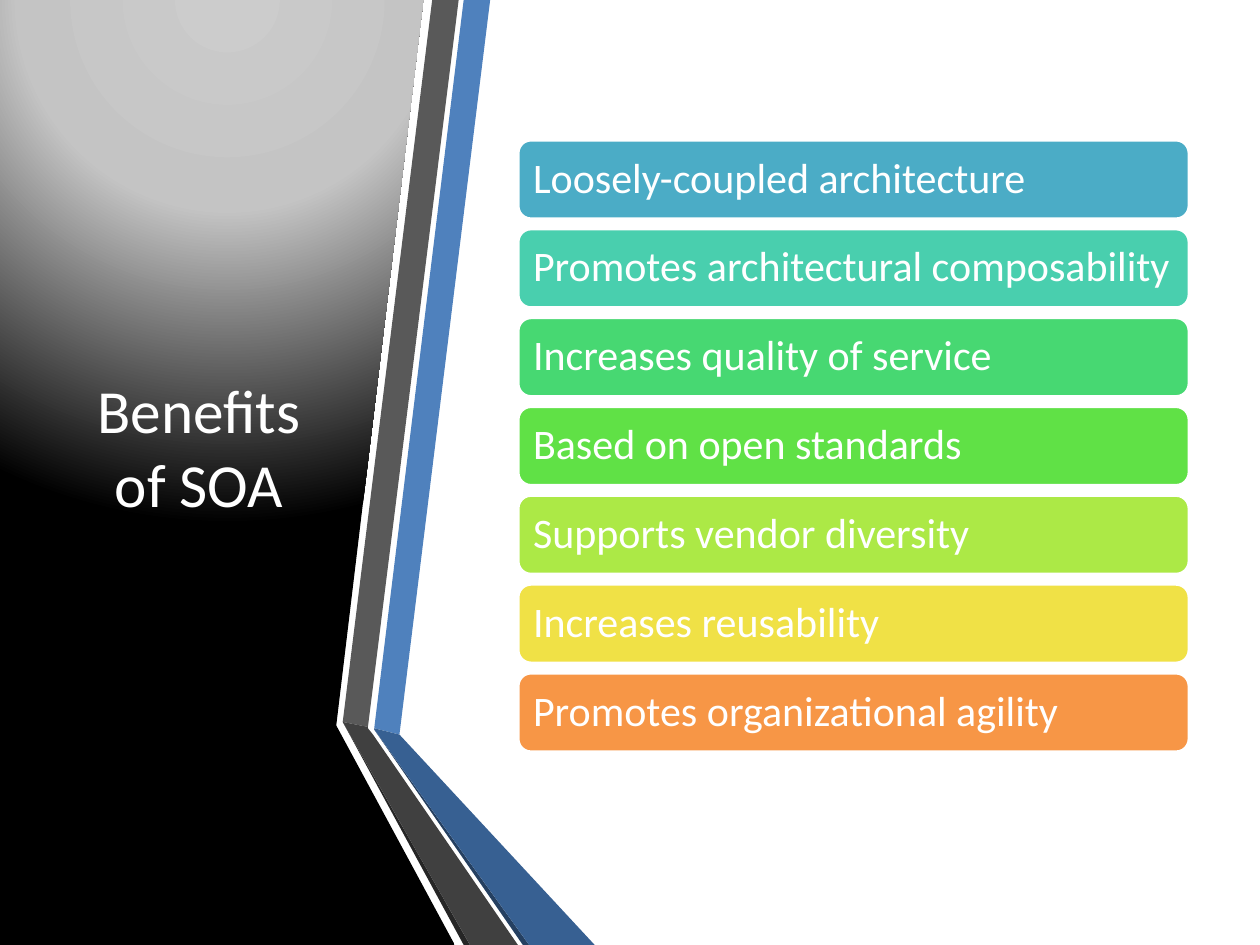
from dataclasses import dataclass

from lxml import etree
from pptx import Presentation
from pptx.dml.color import RGBColor
from pptx.enum.shapes import MSO_SHAPE
from pptx.enum.text import MSO_ANCHOR, PP_ALIGN
from pptx.oxml.ns import qn
from pptx.util import Pt

PX = 9144  # 100 px to the inch
ROUND = MSO_SHAPE.ROUNDED_RECTANGLE
MIDDLE = MSO_ANCHOR.MIDDLE
LEFT, CENTER = PP_ALIGN.LEFT, PP_ALIGN.CENTER
TITLE_ONLY = 5


@dataclass(frozen=True)
class Theme:
    font: str = "Calibri"
    white: str = "FFFFFF"
    title: int = 35
    body: int = 24
    glow: tuple = ((0, "CCCCCC"), (40, "C4C4C4"), (100, "000000"))


@dataclass(frozen=True)
class Facet:
    fill: str
    points: tuple


@dataclass(frozen=True)
class Bar:
    text: str
    fill: str


THEME = Theme()
PANEL = Facet("000000", ((264, 0), (336, 0), (267, 575), (267, 576),
                         (361, 750), (0, 750), (0, 0)))
RIBBON = (
    Facet("4F81BD", ((297, 578), (317, 583), (389, 0), (368, 0))),
    Facet("595959", ((364, 0), (343, 0), (272, 573), (292, 577))),
    Facet("262626", ((272, 573), (368, 750), (373, 750))),
    Facet("254061", ((297, 579), (415, 750), (420, 750))),
    Facet("376092", ((297, 579), (420, 750), (472, 750), (317, 583),
                     (297, 578))),
    Facet("404040", ((411, 750), (296, 583), (292, 578), (292, 577),
                     (272, 573), (373, 750))),
)
BARS = (
    Bar("Loosely-coupled architecture", "4BACC6"),
    Bar("Promotes architectural composability", "49CFAE"),
    Bar("Increases quality of service", "47D872"),
    Bar("Based on open standards", "60E146"),
    Bar("Supports vendor diversity", "ACE946"),
    Bar("Increases reusability", "F0E146"),
    Bar("Promotes organizational agility", "F79646"),
)
BAR_LEFT, BAR_WIDTH, BAR_HEIGHT = 411, 533, 63
FIRST_TOP, LAST_TOP = 111, 534


def px(value: float) -> int:
    return round(value * PX)


def paint(shape, color: str) -> None:
    shape.shadow.inherit = False
    shape.fill.solid()
    shape.fill.fore_color.rgb = RGBColor.from_string(color)


def write(shape, text: str, *, size: int, align=LEFT, inset: int = 10,
          spacing: float = 1.0) -> None:
    frame = shape.text_frame
    frame.text = text
    frame.word_wrap = True
    frame.vertical_anchor = MIDDLE
    frame.margin_left = frame.margin_right = px(inset)
    frame.margin_top = frame.margin_bottom = px(5)
    para = frame.paragraphs[0]
    para.alignment = align
    para.line_spacing = spacing
    font = para.runs[0].font
    font.name = THEME.font
    font.size = Pt(size)
    font.color.rgb = RGBColor.from_string(THEME.white)


def draw_facet(slide, facet: Facet):
    start, *rest = facet.points
    pen = slide.shapes.build_freeform(*start, scale=PX)
    pen.add_line_segments(rest, close=True)
    shape = pen.convert_to_shape()
    paint(shape, facet.fill)
    shape.line.fill.background()
    return shape


def add_glow(shape) -> None:
    """Replace the solid fill by a circle of light centred at the top."""
    props = shape._element.spPr
    solid = props.find(qn("a:solidFill"))
    grad = etree.Element(qn("a:gradFill"), rotWithShape="1")
    stops = etree.SubElement(grad, qn("a:gsLst"))
    for place, color in THEME.glow:
        stop = etree.SubElement(stops, qn("a:gs"), pos=str(place * 1000))
        etree.SubElement(stop, qn("a:srgbClr"), val=color)
    circle = etree.SubElement(grad, qn("a:path"), path="circle")
    etree.SubElement(circle, qn("a:fillToRect"),
                     l="50000", t="-80000", r="50000", b="180000")
    props.replace(solid, grad)


def draw_title(slide, text: str) -> None:
    title = slide.shapes.title
    title.left, title.top = px(44), px(75)
    title.width, title.height = px(228), px(558)
    write(title, text, size=THEME.title, align=CENTER)
    slide.shapes._spTree.append(title._element)  # bring above the panel


def draw_bar(slide, bar: Bar, top: float) -> None:
    shape = slide.shapes.add_shape(ROUND, px(BAR_LEFT), px(top),
                                   px(BAR_WIDTH), px(BAR_HEIGHT))
    paint(shape, bar.fill)
    shape.line.color.rgb = RGBColor.from_string(THEME.white)
    shape.line.width = Pt(2)
    # The rounded corners already hold the text in by 3 px.
    write(shape, bar.text, size=THEME.body, inset=9, spacing=0.9)


def main() -> None:
    deck = Presentation()
    deck.slide_width, deck.slide_height = px(1000), px(750)
    slide = deck.slides.add_slide(deck.slide_layouts[TITLE_ONLY])
    add_glow(draw_facet(slide, PANEL))
    for facet in RIBBON:
        draw_facet(slide, facet)
    draw_title(slide, "Benefits of SOA")
    step = (LAST_TOP - FIRST_TOP) / (len(BARS) - 1)
    for row, bar in enumerate(BARS):
        draw_bar(slide, bar, FIRST_TOP + row * step)
    deck.save("out.pptx")


if __name__ == "__main__":
    main()
